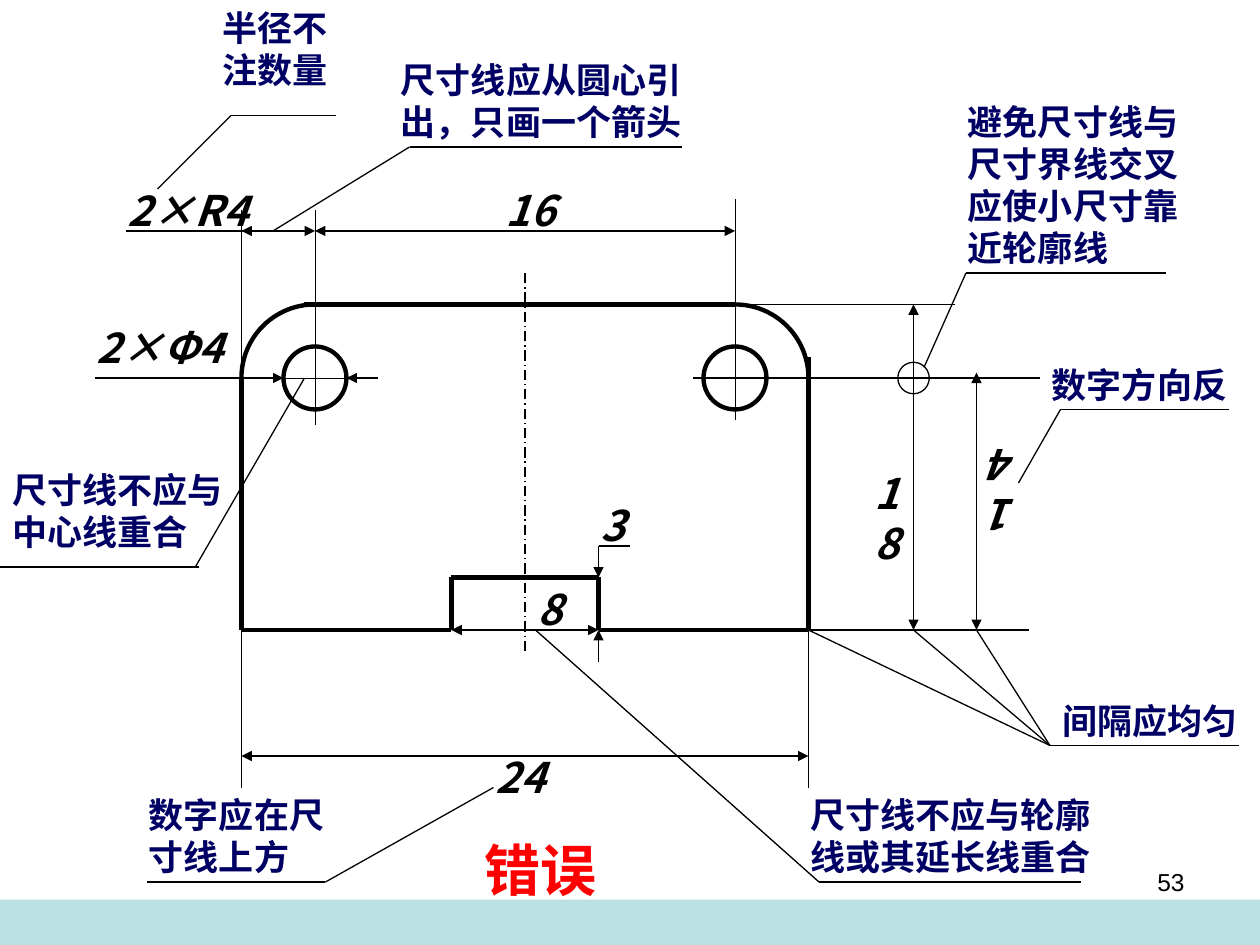
from itertools import pairwise
from math import cos, pi, sin

from pptx import Presentation
from pptx.dml.color import RGBColor
from pptx.enum.dml import MSO_LINE_DASH_STYLE as Dash
from pptx.enum.shapes import MSO_CONNECTOR as Connector, MSO_SHAPE as Shape
from pptx.enum.text import MSO_AUTO_SIZE as AutoSize, PP_ALIGN as Align
from pptx.oxml.ns import qn
from pptx.util import Pt
from lxml.etree import SubElement

BLACK = RGBColor(0, 0, 0)
NAVY = RGBColor(0, 0, 0x64)
RED = RGBColor(0xFF, 0, 0)
TEAL = RGBColor(0xBB, 0xE0, 0xE3)
CJK = "Noto Sans CJK SC"
THICK, THIN, HAIR = 2.5, 0.75, 0.25

LEFT, RIGHT, TOP, BOTTOM = 138, 462, 174, 360
NOTCH_LEFT, NOTCH_RIGHT, NOTCH_TOP = 258, 342, 330
HOLE_LEFT, HOLE_RIGHT, HOLE_Y = 180, 420, 216
CORNER, HOLE_RADIUS = 42, 18
UPPER_DIM, LOWER_DIM, INNER_DIM, OUTER_DIM = 132, 432, 522, 558
FAN = (600, 426)

OUTLINE = [
    (LEFT, BOTTOM, NOTCH_LEFT, BOTTOM),
    (LEFT, BOTTOM, LEFT, HOLE_Y),
    (174, TOP, HOLE_RIGHT, TOP),
    (RIGHT, 204, RIGHT, BOTTOM),
    (NOTCH_RIGHT, BOTTOM, RIGHT, BOTTOM),
    (NOTCH_LEFT, NOTCH_TOP, NOTCH_LEFT, BOTTOM),
    (NOTCH_RIGHT, NOTCH_TOP, NOTCH_RIGHT, BOTTOM),
    (NOTCH_LEFT, NOTCH_TOP, NOTCH_RIGHT, NOTCH_TOP),
]
HAIRLINES = [
    (156, HOLE_Y, 204, HOLE_Y),
    (HOLE_LEFT, 120, HOLE_LEFT, 243),
    (HOLE_RIGHT, 114, HOLE_RIGHT, 240),
    (LEFT, HOLE_Y, LEFT, 120),
    (LEFT, BOTTOM, LEFT, 450),
    (RIGHT, BOTTOM, RIGHT, 450),
    (HOLE_RIGHT, TOP, 546, TOP),
]
THIN_LINES = [
    (396, HOLE_Y, 594, HOLE_Y),
    (156, UPPER_DIM, 72, UPPER_DIM),
    (NOTCH_RIGHT, 312, 360, 312),
    (RIGHT, BOTTOM, 588, BOTTOM),
]
DOUBLE_ARROWS = [
    (LEFT, UPPER_DIM, HOLE_LEFT, UPPER_DIM),
    (HOLE_LEFT, UPPER_DIM, HOLE_RIGHT, UPPER_DIM),
    (LEFT, LOWER_DIM, RIGHT, LOWER_DIM),
    (NOTCH_LEFT, BOTTOM, NOTCH_RIGHT, BOTTOM),
    (INNER_DIM, TOP, INNER_DIM, BOTTOM),
    (OUTER_DIM, 213, OUTER_DIM, BOTTOM),
]
SINGLE_ARROWS = [
    (54, HOLE_Y, HOLE_LEFT - HOLE_RADIUS, HOLE_Y),
    (216, HOLE_Y, HOLE_LEFT + HOLE_RADIUS, HOLE_Y),
    (NOTCH_RIGHT, 378, NOTCH_RIGHT, BOTTOM),
    (NOTCH_RIGHT, 312, NOTCH_RIGHT, NOTCH_TOP),
]
LEADERS = [
    [(90, 108), (132, 66), (192, 66)],
    [(156, UPPER_DIM), (234, 84), (390, 84)],
    [(528, 210), (552, 156), (666, 156)],
    [(582, 276), (606, 234), (702, 234)],
    [(RIGHT, BOTTOM), FAN, (708, 426)],
    [(INNER_DIM, BOTTOM), FAN],
    [(OUTER_DIM, BOTTOM), FAN],
    [(306, BOTTOM), (468, 504), (618, 504)],
    [(282, 450), (186, 504), (84, 504)],
    [(174, HOLE_Y), (111.6, 324)],
    [(114, 324), (0, 324)],
]
DIMENSIONS = [
    ("2×R4", 66, 102, 84),
    ("16", 282, 102, 66),
    ("2×Φ4", 48, 180, 90),
    ("24", 276, 426, 84),
    ("8", 300, 330, 30),
    ("3", 336, 282, 24),
]
NOTES = [
    ("半径不注数量", 120, 0, 90, 55.5),
    ("尺寸线应从圆心引出，只画一个箭头", 222, 30, 180, 55.5),
    ("避免尺寸线与尺寸界线交叉应使小尺寸靠近轮廓线", 546, 54, 150, 103.5),
    ("数字方向反", 594, 204, 126, 31.5),
    ("间隔应均匀", 600, 396, 120, 31.5),
    ("尺寸线不应与轮廓线或其延长线重合", 456, 450, 186, 55.5),
    ("数字应在尺寸线上方", 78, 450, 132, 55.5),
    ("尺寸线不应与中心线重合", 0, 264, 144, 55.5),
]


def add_line(page, x1, y1, x2, y2, width=THIN, head=False, tail=False, dash=None):
    line = page.shapes.add_connector(
        Connector.STRAIGHT, Pt(x1), Pt(y1), Pt(x2), Pt(y2))
    line.line.color.rgb = BLACK
    line.line.width = Pt(width)
    if dash:
        line.line.dash_style = dash
    stroke = line.line._get_or_add_ln()
    for tag, wanted in (("a:headEnd", head), ("a:tailEnd", tail)):
        if wanted:
            SubElement(stroke, qn(tag), type="triangle")
    SubElement(line._element.spPr, qn("a:effectLst"))


def outline_only(shape, width):
    shape.shadow.inherit = False
    shape.fill.background()
    shape.line.color.rgb = BLACK
    shape.line.width = Pt(width)


def add_circle(page, x, y, radius, width):
    circle = page.shapes.add_shape(
        Shape.OVAL, Pt(x - radius), Pt(y - radius), Pt(2 * radius), Pt(2 * radius))
    outline_only(circle, width)


def add_corner(page, x, y, side):
    steps = 24
    points = [
        (Pt(x + side * CORNER * sin(step * pi / 2 / steps)),
         Pt(y - CORNER * cos(step * pi / 2 / steps)))
        for step in range(steps + 1)
    ]
    builder = page.shapes.build_freeform(*points[0])
    builder.add_line_segments(points[1:], close=False)
    outline_only(builder.convert_to_shape(), THICK)


def add_text(page, text, x, y, width, height, *, size=20, color=NAVY, font=CJK,
             bold=True, italic=False, align=Align.LEFT, grow=True, turn=None):
    box = page.shapes.add_textbox(Pt(x), Pt(y), Pt(width), Pt(height))
    frame = box.text_frame
    frame.word_wrap = True
    frame.auto_size = AutoSize.SHAPE_TO_FIT_TEXT if grow else AutoSize.NONE
    if turn is not None:
        box.rotation = turn
        frame._txBody.bodyPr.set("vert", "eaVert")
        frame.margin_left = frame.margin_right = Pt(3.6)
        frame.margin_top = frame.margin_bottom = Pt(7.2)
    para = frame.paragraphs[0]
    para.alignment = align
    span = para.add_run()
    span.text = text
    span.font.size = Pt(size)
    span.font.bold = bold
    span.font.italic = italic
    span.font.color.rgb = color
    span.font.name = font
    SubElement(span.font._element, qn("a:ea"), typeface=font)


def add_bar(page):
    bar = page.shapes.add_shape(Shape.RECTANGLE, 0, Pt(514), Pt(720), Pt(26))
    bar.shadow.inherit = False
    bar.fill.solid()
    bar.fill.fore_color.rgb = TEAL
    bar.line.fill.background()


def main():
    deck = Presentation()
    deck.slide_width, deck.slide_height = Pt(720), Pt(540)
    page = deck.slides.add_slide(deck.slide_layouts[6])
    add_bar(page)

    add_circle(page, INNER_DIM, HOLE_Y, 9, THIN)
    for x, side in ((HOLE_LEFT, -1), (HOLE_RIGHT, 1)):
        add_circle(page, x, HOLE_Y, HOLE_RADIUS, THICK)
        add_corner(page, x, HOLE_Y, side)
    for ends in OUTLINE:
        add_line(page, *ends, width=THICK)
    add_line(page, 300, 372, 300, 156, dash=Dash.LONG_DASH_DOT)
    for ends in HAIRLINES:
        add_line(page, *ends, width=HAIR)
    for ends in THIN_LINES:
        add_line(page, *ends)
    for ends in DOUBLE_ARROWS:
        add_line(page, *ends, head=True, tail=True)
    for ends in SINGLE_ARROWS:
        add_line(page, *ends, tail=True)
    for points in LEADERS:
        for start, end in pairwise(points):
            add_line(page, *start, *end)

    number = {"size": 24, "color": BLACK, "italic": True}
    for text, x, y, width in DIMENSIONS:
        add_text(page, text, x, y, width, 36, **number)
    add_text(page, "18", 492, 264, 43, 42, turn=270, **number)
    add_text(page, "14", 549, 273.6, 43, 36, turn=90, **number)
    for note in NOTES:
        add_text(page, *note)
    add_text(page, "错误", 270, 474, 138, 46, size=32, color=RED)
    add_text(page, "53", 516, 492, 168, 37.5, size=14, color=BLACK, font="Arial",
             bold=False, align=Align.RIGHT, grow=False)
    deck.save("out.pptx")


if __name__ == "__main__":
    main()
